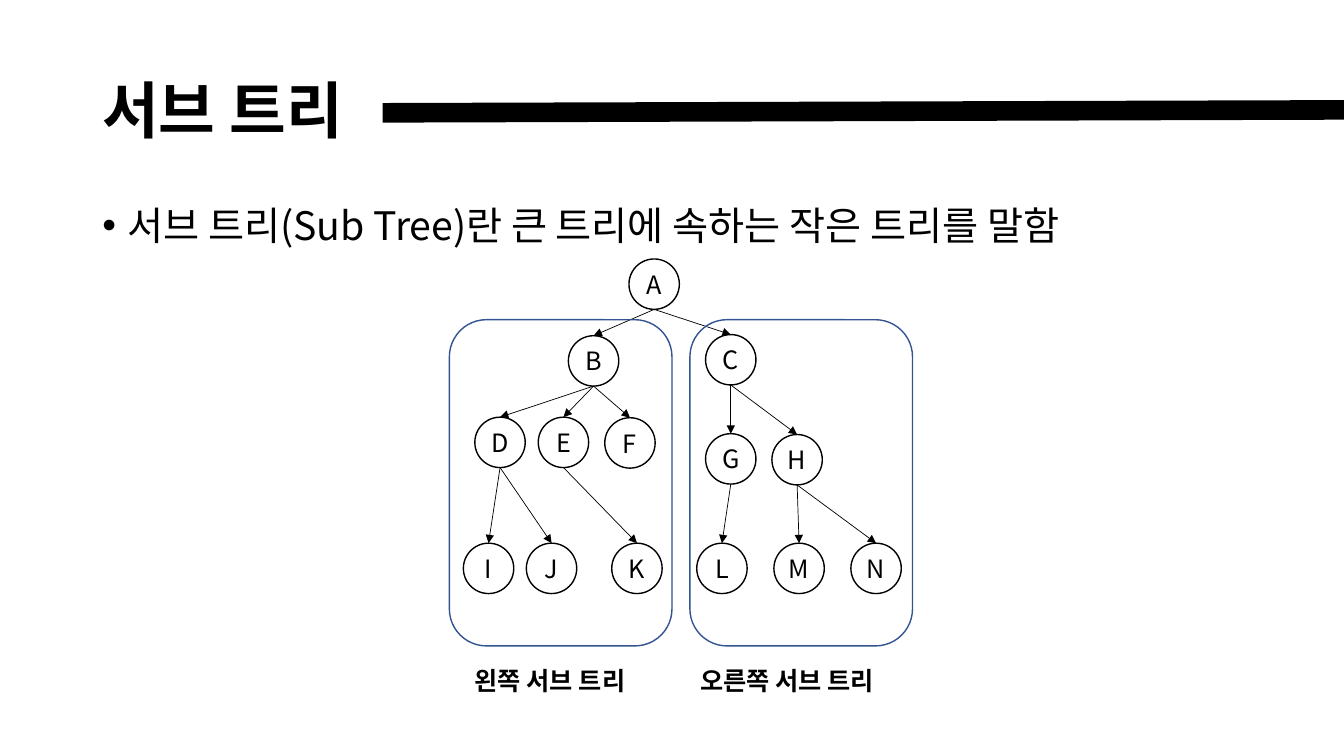
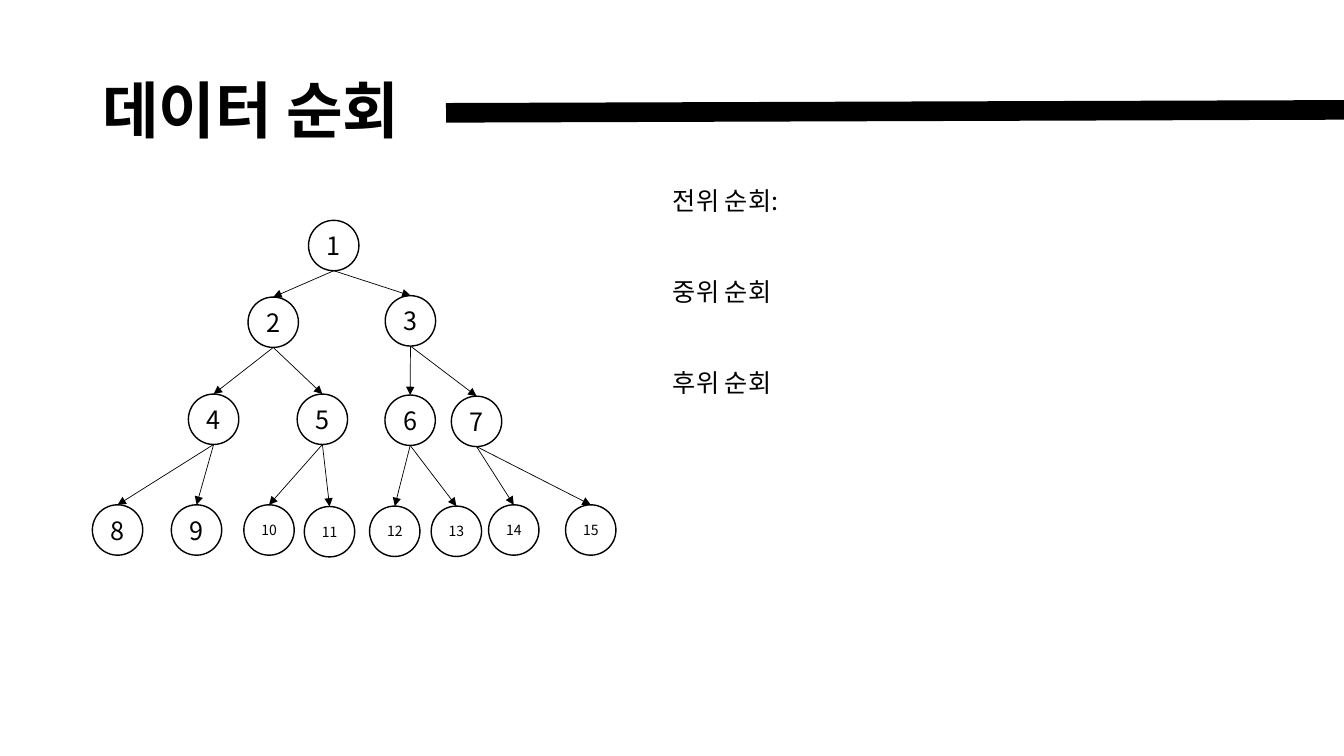
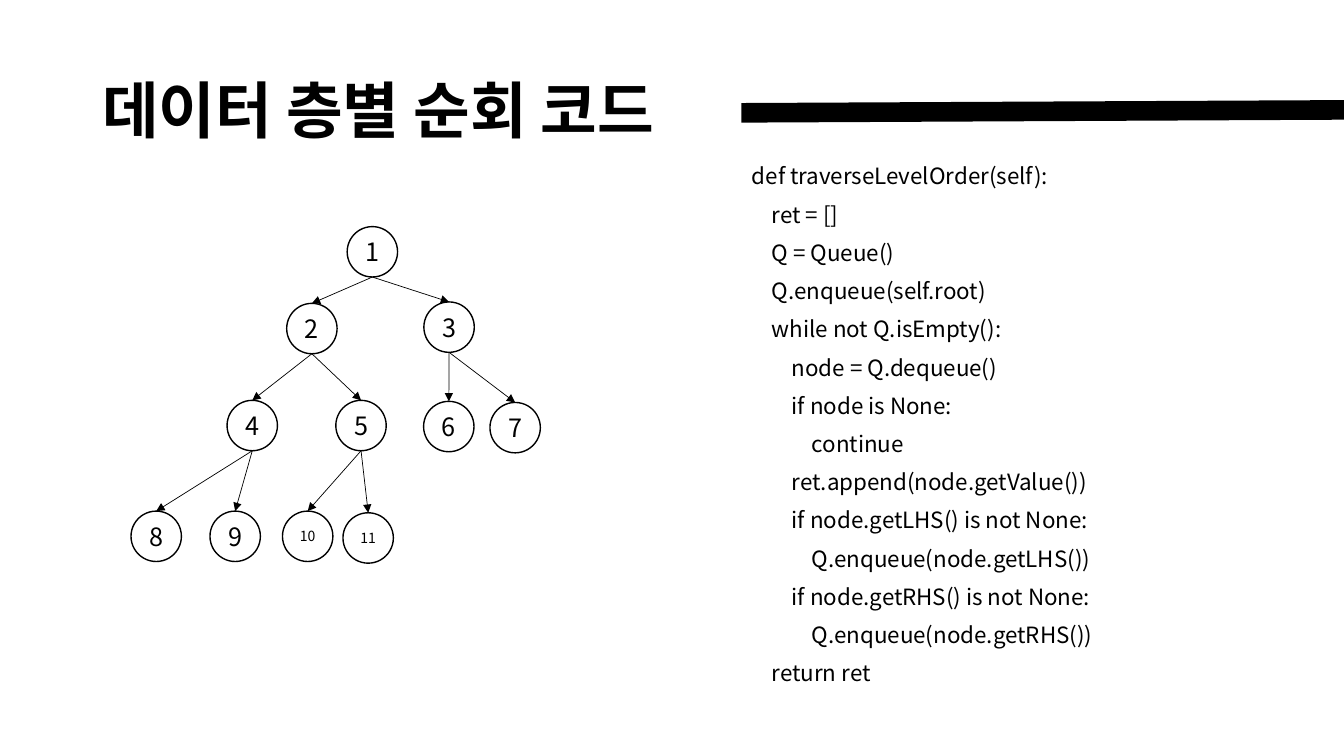
from lxml.etree import SubElement
from pptx import Presentation
from pptx.dml.color import RGBColor
from pptx.enum.shapes import MSO_CONNECTOR, MSO_SHAPE
from pptx.enum.text import MSO_ANCHOR, PP_ALIGN
from pptx.oxml.ns import qn
from pptx.util import Pt

BLACK = "000000"
BLUE = "325491"
FONT = "Noto Sans CJK KR"
MARGIN = 66
SLIDE_WIDTH = 960
NODE_SIZE = 36


def color(value):
    """Turn a hex string into a colour."""
    return RGBColor.from_string(value)


class Deck:
    """Hold the shared style and the current slide."""

    def __init__(self):
        """Start an empty widescreen presentation."""
        self.presentation = Presentation()
        self.presentation.slide_width = Pt(SLIDE_WIDTH)
        self.presentation.slide_height = Pt(540)

    def add_slide(self, title, title_width):
        """Add a slide with a title and the bar that runs to the right edge."""
        self.slide = self.presentation.slides.add_slide(self.presentation.slide_layouts[6])
        self.text([title], MARGIN, 28.8, title_width, 104.4, size=44, bold=True,
                  anchor=MSO_ANCHOR.MIDDLE, line_spacing=0.9)
        self.line((MARGIN + title_width, 80.6), (SLIDE_WIDTH, 78.5), 14)

    def paragraphs(self, frame, lines, size, bold=False, bullet=False, gap=0, **paragraph_format):
        """Put lines into a text frame, one paragraph each."""
        for index, line in enumerate(lines):
            paragraph = frame.paragraphs[0] if index == 0 else frame.add_paragraph()
            for name, value in paragraph_format.items():
                setattr(paragraph, name, value)
            if index:
                paragraph.space_before = Pt(gap)
            if bullet:
                properties = paragraph._p.get_or_add_pPr()
                properties.set("marL", str(Pt(18)))
                properties.set("indent", str(Pt(-18)))
                SubElement(properties, qn("a:buFont"), typeface="Arial")
                SubElement(properties, qn("a:buChar"), char="•")
            run = paragraph.add_run()
            run.text = line
            for name, value in {"name": FONT, "size": Pt(size), "bold": bold}.items():
                setattr(run.font, name, value)
            run.font.color.rgb = color(BLACK)
            SubElement(run._r.get_or_add_rPr(), qn("a:ea"), typeface=FONT)

    def text(self, lines, left, top, width, height, size=18, anchor=MSO_ANCHOR.TOP, **style):
        """Add a wrapping text box."""
        frame = self.slide.shapes.add_textbox(Pt(left), Pt(top), Pt(width), Pt(height)).text_frame
        frame.word_wrap = True
        frame.vertical_anchor = anchor
        self.paragraphs(frame, lines, size, **style)

    def outline(self, kind, left, top, width, height, line_color):
        """Add an unfilled shape with a thin outline."""
        shape = self.slide.shapes.add_shape(kind, Pt(left), Pt(top), Pt(width), Pt(height))
        shape.shadow.inherit = False
        shape.fill.background()
        shape.line.color.rgb = color(line_color)
        shape.line.width = Pt(1)
        return shape

    def node(self, label, left, top):
        """Add a labelled tree node."""
        circle = self.outline(MSO_SHAPE.OVAL, left, top, NODE_SIZE, NODE_SIZE, BLACK)
        frame = circle.text_frame
        frame_format = {"margin_left": 0, "margin_right": 0, "margin_top": 0, "margin_bottom": 0,
                        "word_wrap": False, "vertical_anchor": MSO_ANCHOR.MIDDLE}
        for name, value in frame_format.items():
            setattr(frame, name, value)
        self.paragraphs(frame, [label], 18 if len(label) == 1 else 10, alignment=PP_ALIGN.CENTER)
        return circle

    def line(self, start, end, width):
        """Add a straight black line."""
        connector = self.slide.shapes.add_connector(
            MSO_CONNECTOR.STRAIGHT, *(Pt(length) for length in (*start, *end)))
        connector.line.color.rgb = color(BLACK)
        connector.line.width = Pt(width)
        SubElement(connector._element.spPr, qn("a:effectLst"))
        return connector

    def branch(self, parent, child):
        """Add an arrow from the bottom of a parent to the top of its child."""
        arrow = self.line((0, 0), (0, 0), 0.5)
        SubElement(arrow._element.spPr.find(qn("a:ln")), qn("a:tailEnd"), type="triangle")
        arrow.begin_connect(parent, 2)
        arrow._element.find(f".//{qn('a:stCxn')}").set("idx", "4")
        arrow.end_connect(child, 0)

    def tree(self, places, parents, shift=(0, 0)):
        """Draw a tree from node places and a map of child to parent."""
        nodes = {key: self.node(str(key), left + shift[0], top + shift[1])
                 for key, (left, top) in places.items()}
        for child, parent in parents.items():
            self.branch(nodes[parent], nodes[child])


LETTERS = {
    "A": (449.3, 185), "B": (406, 239.8), "C": (504, 239),
    "D": (339.2, 298), "E": (384.5, 298), "F": (432, 298.4),
    "G": (504, 309.8), "H": (551.4, 310.4),
    "I": (331, 388), "J": (376, 388), "K": (437, 388),
    "L": (497.7, 388), "M": (552.8, 388), "N": (607.8, 388),
}
LETTER_CHILDREN = {"A": "BC", "B": "DEF", "C": "GH", "D": "IJ", "E": "K", "G": "L", "H": "MN"}
LETTER_PARENTS = {child: parent for parent, children in LETTER_CHILDREN.items()
                  for child in children}

NUMBERS = dict(enumerate([
    (220.4, 157.4), (177.2, 212.2), (275.2, 211.2),
    (134.6, 281.5), (212.3, 281.5), (275, 282.2), (322.4, 283),
    (66, 360.6), (122.4, 360.6), (174.2, 360.6), (217.4, 361.8),
    (264, 361.5), (308, 361.5), (349, 360.6), (404, 360.6),
], start=1))

LEVEL_ORDER_CODE = """\
def traverseLevelOrder(self):
    ret = []
    Q = Queue()
    Q.enqueue(self.root)
    while not Q.isEmpty():
        node = Q.dequeue()
        if node is None:
            continue
        ret.append(node.getValue())
        if node.getLHS() is not None:
            Q.enqueue(node.getLHS())
        if node.getRHS() is not None:
            Q.enqueue(node.getRHS())
    return ret"""


def number_tree(deck, count, shift=(0, 0)):
    """Draw the first nodes of the numbered binary tree."""
    places = {number: NUMBERS[number] for number in range(1, count + 1)}
    deck.tree(places, {number: number // 2 for number in range(2, count + 1)}, shift)


def main():
    """Build the three slides."""
    deck = Deck()

    deck.add_slide("서브 트리", 207.4)
    deck.text(["서브 트리(Sub Tree)란 큰 트리에 속하는 작은 트리를 말함"], MARGIN, 144, 863, 40,
              size=28, bullet=True, line_spacing=0.9)
    deck.tree(LETTERS, LETTER_PARENTS)
    subtrees = [("왼쪽 서브 트리", 321, 332), ("오른쪽 서브 트리", 492.8, 493)]
    for caption, frame_left, caption_left in subtrees:
        deck.outline(MSO_SHAPE.ROUNDED_RECTANGLE, frame_left, 228.4, 159, 233, BLUE)
        deck.text([caption], caption_left, 471.6, 155, 29, bold=True)

    deck.add_slide("데이터 순회", 252.6)
    number_tree(deck, 15)
    deck.text(["전위 순회:", "중위 순회", "후위 순회"], 473.6, 128.8, 104.4, 181.4,
              line_spacing=Pt(21.6), gap=43.4)

    deck.add_slide("데이터 층별 순회 코드", 463.6)
    deck.text(LEVEL_ORDER_CODE.split("\n"), 530, 114.5, 369, 380,
              size=16, line_spacing=Pt(17.3), gap=10)
    number_tree(deck, 11, (27.6, 4.5))

    deck.presentation.save("out.pptx")


if __name__ == "__main__":
    main()
